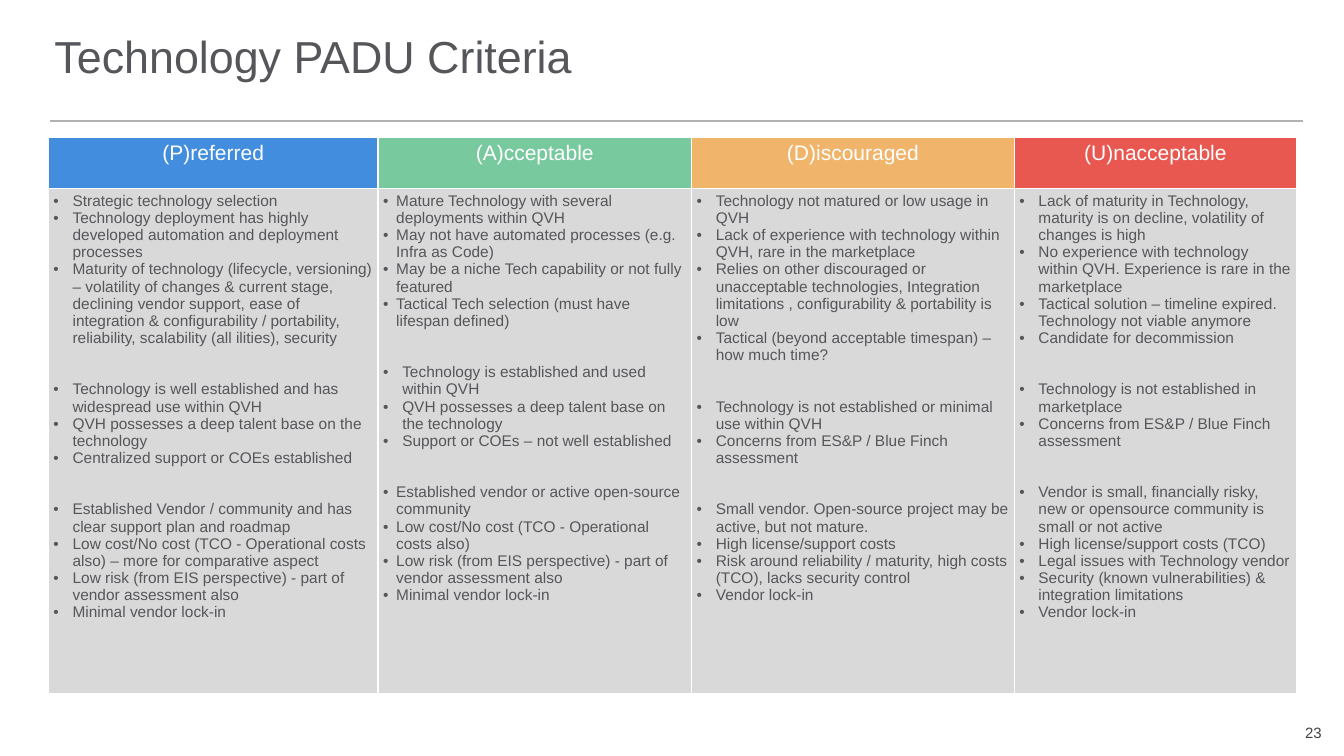
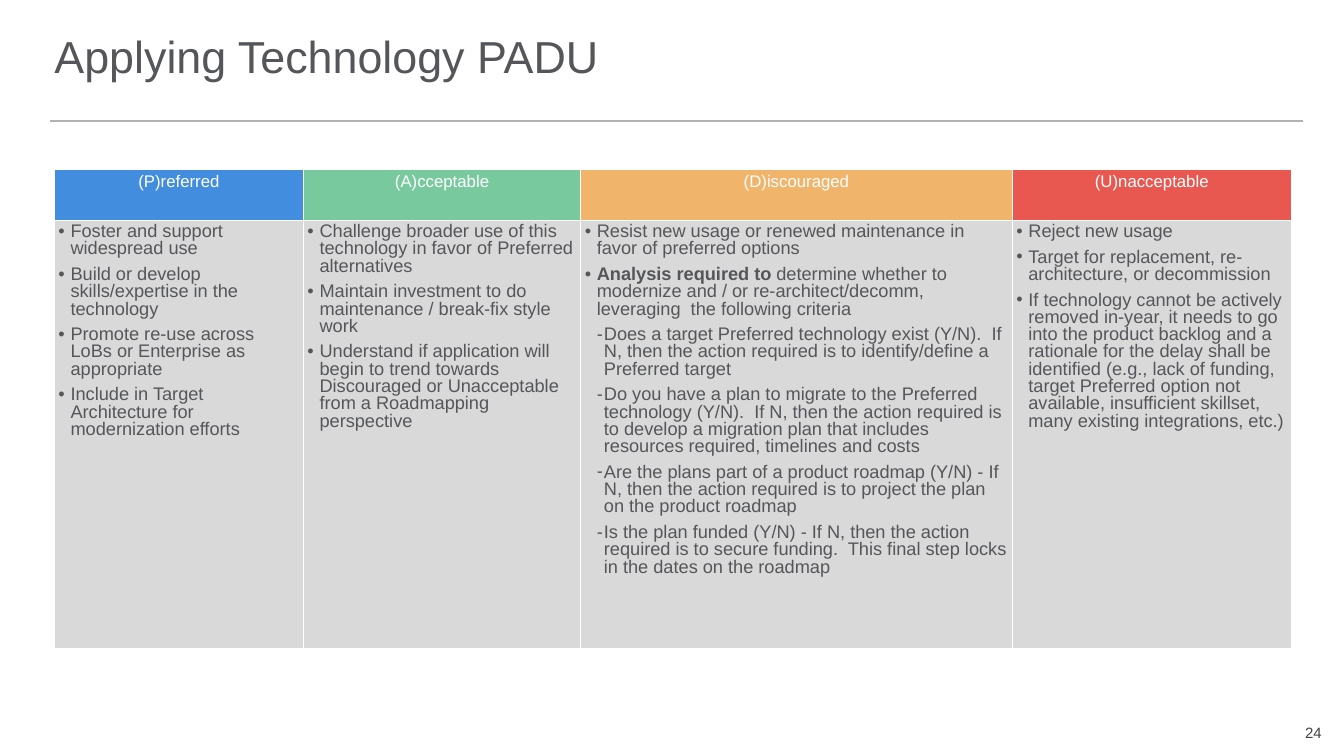
from pptx import Presentation
from pptx.dml.color import RGBColor
from pptx.enum.shapes import MSO_CONNECTOR
from pptx.enum.text import MSO_ANCHOR, MSO_AUTO_SIZE, PP_ALIGN
from pptx.oxml.ns import qn
from pptx.util import Emu, Inches, Pt
from lxml.etree import SubElement

# Shared look
FONT = "Arial"
INK, RULE, PALE, WHITE, DARK = "55565A", "B1B3B3", "D9D9D9", "FFFFFF", "424242"
HEADS = [("(P)referred", "428DDD"), ("(A)cceptable", "79C99F"),
         ("(D)iscouraged", "F0B46B"), ("(U)nacceptable", "E85850")]
TITLE = {"size": Pt(32), "name": FONT, "bold": False}
FOOT = {"size": Pt(10.7), "name": FONT}
FRAME = {"margin_left": 0, "margin_top": 0, "margin_right": 0, "margin_bottom": 0,
         "word_wrap": True, "auto_size": MSO_AUTO_SIZE.NONE,
         "vertical_anchor": MSO_ANCHOR.MIDDLE}

# Each column is a list of groups: (indent, items).
# A leading "-" marks a sub-point; text before "|" is bold.
WIDE, SLIM, TIGHT = 0.19, 0.13, 0.12
CRITERIA = {
    "title": "Technology PADU Criteria", "page": "23",
    "place": (0.48, 1.36), "cols": [3.27, 3.11, 3.2, 2.8], "rows": [0.51, 5.01],
    "sizes": (15, 11), "pads": (0.1, 0.05, 0.04),
    "para": {"line_spacing": 1.0, "space_after": Pt(0)},
    "body": [
        [(WIDE, ["Strategic technology selection",
                 "Technology deployment has highly developed automation and deployment processes",
                 "Maturity of technology (lifecycle, versioning) – volatility of changes & "
                 "current stage, declining vendor support, ease of integration & "
                 "configurability / portability, reliability, scalability (all ilities), security"]),
         (WIDE, ["Technology is well established and has widespread use within QVH",
                 "QVH possesses a deep talent base on the technology",
                 "Centralized support or COEs established"]),
         (WIDE, ["Established Vendor / community and has clear support plan and roadmap",
                 "Low cost/No cost (TCO - Operational costs also) – more for comparative aspect",
                 "Low risk (from EIS perspective) - part of vendor assessment also",
                 "Minimal vendor lock-in"])],
        [(SLIM, ["Mature Technology with several deployments within QVH",
                 "May not have automated processes (e.g. Infra as Code)",
                 "May be a niche Tech capability or not fully featured",
                 "Tactical Tech selection (must have lifespan defined)"]),
         (WIDE, ["Technology is established and used within QVH",
                 "QVH possesses a deep talent base on the technology",
                 "Support or COEs – not well established"]),
         (SLIM, ["Established vendor or active open-source community",
                 "Low cost/No cost (TCO - Operational costs also)",
                 "Low risk (from EIS perspective) - part of vendor assessment also",
                 "Minimal vendor lock-in"])],
        [(WIDE, ["Technology not matured or low usage in QVH",
                 "Lack of experience with technology within QVH, rare in the marketplace",
                 "Relies on other discouraged or unacceptable technologies, Integration "
                 "limitations , configurability & portability is low",
                 "Tactical (beyond acceptable timespan) – how much time?"]),
         (WIDE, ["Technology is not established or minimal use within QVH",
                 "Concerns from ES&P / Blue Finch assessment"]),
         (WIDE, ["Small vendor. Open-source project may be active, but not mature.",
                 "High license/support costs",
                 "Risk around reliability / maturity, high costs (TCO), lacks security control",
                 "Vendor lock-in"])],
        [(WIDE, ["Lack of maturity in Technology, maturity is on decline, volatility of "
                 "changes is high",
                 "No experience with technology within QVH. Experience is rare in the marketplace",
                 "Tactical solution – timeline expired. Technology not viable anymore",
                 "Candidate for decommission"]),
         (WIDE, ["Technology is not established in marketplace",
                 "Concerns from ES&P / Blue Finch assessment"]),
         (WIDE, ["Vendor is small, financially risky, new or opensource community is small "
                 "or not active",
                 "High license/support costs (TCO)",
                 "Legal issues with Technology vendor",
                 "Security (known vulnerabilities) & integration limitations",
                 "Vendor lock-in"])],
    ],
}
APPLYING = {
    "title": "Applying Technology PADU", "page": "24",
    "place": (0.54, 1.68), "cols": [2.47, 2.75, 4.28, 2.77], "rows": [0.51, 4.24],
    "sizes": (12, 13), "pads": (0.07, 0.04, 0.03),
    "para": {"line_spacing": 0.85, "space_after": Pt(6)},
    "body": [
        [(TIGHT, ["Foster and support widespread use",
                  "Build or develop skills/expertise in the technology",
                  "Promote re-use across LoBs or Enterprise as appropriate",
                  "Include in Target Architecture for modernization efforts"])],
        [(TIGHT, ["Challenge broader use of this technology in favor of Preferred alternatives",
                  "Maintain investment to do maintenance / break-fix style work",
                  "Understand if application will begin to trend towards Discouraged or "
                  "Unacceptable from a Roadmapping perspective"])],
        [(TIGHT, ["Resist new usage or renewed maintenance in favor of preferred options",
                  "Analysis required to |determine whether to modernize and / or "
                  "re-architect/decomm, leveraging  the following criteria",
                  "-Does a target Preferred technology exist (Y/N).  If N, then the action "
                  "required is to identify/define a Preferred target",
                  "-Do you have a plan to migrate to the Preferred technology (Y/N).  If N, "
                  "then the action required is to develop a migration plan that includes "
                  "resources required, timelines and costs",
                  "-Are the plans part of a product roadmap (Y/N) - If N, then the action "
                  "required is to project the plan on the product roadmap",
                  "-Is the plan funded (Y/N) - If N, then the action required is to secure "
                  "funding.  This final step locks in the dates on the roadmap"])],
        [(TIGHT, ["Reject new usage",
                  "Target for replacement, re-architecture, or decommission",
                  "If technology cannot be actively removed in-year, it needs to go into the "
                  "product backlog and a rationale for the delay shall be identified (e.g., "
                  "lack of funding, target Preferred option not available, insufficient "
                  "skillset, many existing integrations, etc.)"])],
    ],
}


# Format helpers
def color(code):
    return RGBColor.from_string(code)


def apply(target, values):
    for name, value in values.items():
        setattr(target, name, value)


def add_run(para, text, style, code):
    run = para.add_run()
    run.text = text
    apply(run.font, style)
    run.font.color.rgb = color(code)


def bullet(para, mark, left, hang):
    props = para._p.get_or_add_pPr()
    props.set("marL", str(Inches(left)))
    props.set("indent", str(-Inches(hang)))
    SubElement(props, qn("a:buFont"), typeface=FONT)
    SubElement(props, qn("a:buChar"), char=mark)


def border(cell):
    props = cell._tc.get_or_add_tcPr()
    for side in ("lnL", "lnR", "lnT", "lnB"):
        line = SubElement(props, qn(f"a:{side}"), w=str(Pt(1)))
        fill = SubElement(line, qn("a:solidFill"))
        SubElement(fill, qn("a:srgbClr"), val=WHITE)


# Slide parts
def add_title(slide, text):
    title = slide.shapes.title
    apply(title, {"left": Inches(0.54), "top": Inches(0),
                  "width": Inches(12.38), "height": Inches(1.17)})
    apply(title.text_frame, FRAME)
    para = title.text_frame.paragraphs[0]
    apply(para, {"alignment": PP_ALIGN.LEFT, "line_spacing": 0.9})
    add_run(para, text, TITLE, INK)


def add_rule(slide):
    rule = slide.shapes.add_connector(MSO_CONNECTOR.STRAIGHT, Inches(0.5), Inches(1.2),
                                      Inches(12.92), Inches(1.2))
    rule.line.color.rgb = color(RULE)
    rule.line.width = Pt(1)
    SubElement(rule._element.spPr, qn("a:effectLst"))


def add_page(slide, text):
    box = slide.shapes.add_textbox(Inches(12.81), Inches(7.13), Inches(0.3), Inches(0.28))
    apply(box.text_frame, FRAME)
    para = box.text_frame.paragraphs[0]
    para.alignment = PP_ALIGN.RIGHT
    add_run(para, text, FOOT, DARK)


def style_cell(cell, code, side, edge):
    border(cell)
    cell.fill.solid()
    cell.fill.fore_color.rgb = color(code)
    apply(cell, {"margin_left": Inches(side), "margin_right": Inches(side),
                 "margin_top": Inches(edge), "margin_bottom": Inches(edge)})


def fill_list(cell, groups, size, form):
    frame = cell.text_frame
    style = {"size": Pt(size), "name": FONT, "bold": False}
    para = None
    for indent, items in groups:
        for index, item in enumerate(items):
            first = para is None
            para = frame.paragraphs[0] if first else frame.add_paragraph()
            apply(para, form)
            # Two lines of space part one group from the next
            para.space_before = Pt(24.5 if index == 0 and not first else 0)
            if item.startswith("-"):
                bullet(para, "-", 0.19, 0.07)
                item = item[1:]
            else:
                bullet(para, "•", indent, indent)
            lead, _, rest = item.rpartition("|")
            if lead:
                add_run(para, lead, {**style, "bold": True}, INK)
            add_run(para, rest, style, INK)


def add_grid(slide, data):
    cols, rows = data["cols"], data["rows"]
    left, top = data["place"]
    table = slide.shapes.add_table(len(rows), len(cols), Inches(left), Inches(top),
                                   Inches(sum(cols)), Inches(sum(rows))).table
    table.horz_banding = False
    for row, height in zip(table.rows, rows):
        row.height = Inches(height)
    head_size, body_size = data["sizes"]
    head_pad, body_pad, edge = data["pads"]
    style = {"size": Pt(head_size), "name": FONT, "bold": False}
    for index, (label, code) in enumerate(HEADS):
        table.columns[index].width = Inches(cols[index])
        head, body = table.cell(0, index), table.cell(1, index)
        style_cell(head, code, head_pad, edge)
        para = head.text_frame.paragraphs[0]
        para.alignment = PP_ALIGN.CENTER
        add_run(para, label, style, WHITE)
        style_cell(body, PALE, body_pad, edge)
        fill_list(body, data["body"][index], body_size, data["para"])


def main():
    deck = Presentation()
    apply(deck, {"slide_width": Inches(13.33), "slide_height": Inches(7.5)})
    for data in (CRITERIA, APPLYING):
        slide = deck.slides.add_slide(deck.slide_layouts[5])
        add_rule(slide)
        add_title(slide, data["title"])
        add_grid(slide, data)
        add_page(slide, data["page"])
    deck.save("out.pptx")


if __name__ == "__main__":
    main()
